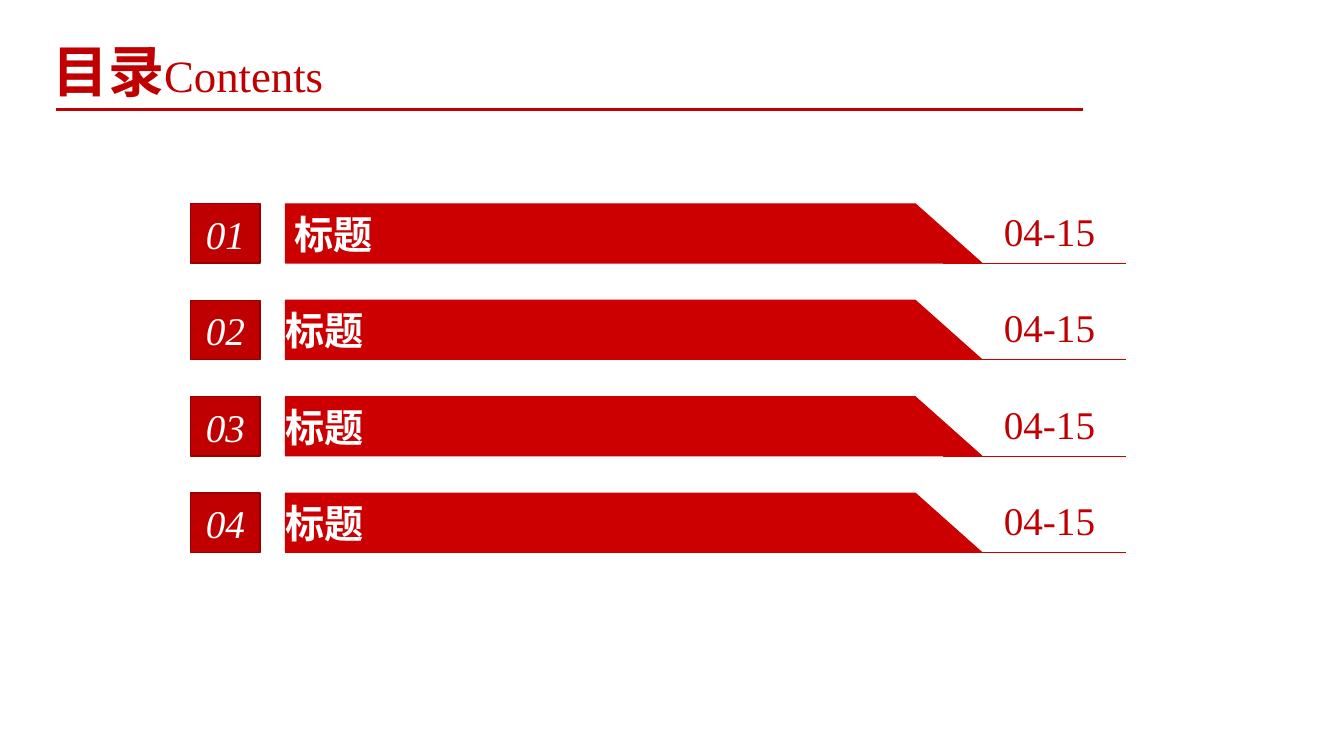
from dataclasses import dataclass

from lxml.etree import SubElement
from pptx import Presentation
from pptx.dml.color import RGBColor as RGB
from pptx.enum.shapes import MSO_CONNECTOR as CONN, MSO_SHAPE as SHAPE
from pptx.enum.text import MSO_ANCHOR as ANCHOR, PP_ALIGN as ALIGN
from pptx.oxml.ns import qn
from pptx.util import Pt


@dataclass(frozen=True)
class Theme:
    red: RGB = RGB(0xC0, 0x00, 0x00)
    bar: RGB = RGB(0xCC, 0x00, 0x00)
    edge: RGB = RGB(0x97, 0x00, 0x00)
    white: RGB = RGB(0xFF, 0xFF, 0xFF)
    latin: str = "Times New Roman"
    cjk: str = "Noto Sans CJK SC"
    title: int = 40
    subtitle: int = 32
    body: int = 28


T = Theme()
ENTRIES = [
    ("01", " 标题", "04-15"),
    ("02", "标题", "04-15"),
    ("03", "标题", "04-15"),
    ("04", "标题", "04-15"),
]
FIRST_TOP, PITCH, ROW_H = 145.6, 68.9, 42.3


def set_attrs(obj, values):
    for name, value in values.items():
        setattr(obj, name, value)


def add_run(p, text, size, color, font=T.latin, **fmt):
    r = p.add_run()
    r.text = text
    set_attrs(r.font, {"size": Pt(size), "name": font, **fmt})
    r.font.color.rgb = color
    SubElement(r.font._element, qn("a:ea")).set("typeface", T.cjk)


def text_frame(sp, align=ALIGN.LEFT, **frame):
    tf = sp.text_frame
    set_attrs(tf, {"word_wrap": True, "vertical_anchor": ANCHOR.MIDDLE, **frame})
    p = tf.paragraphs[0]
    p.alignment = align
    return p


def paint(sp, fill, line, width):
    sp.shadow.inherit = False
    sp.fill.solid()
    sp.fill.fore_color.rgb = fill
    sp.line.color.rgb = line
    sp.line.width = Pt(width)


def add_rule(shapes, x1, x2, y, color, width):
    ln = shapes.add_connector(CONN.STRAIGHT, Pt(x1), Pt(y), Pt(x2), Pt(y))
    ln.line.color.rgb = color
    ln.line.width = Pt(width)
    SubElement(ln._element.spPr, qn("a:effectLst"))


def add_number(shapes, top, text):
    sp = shapes.add_shape(SHAPE.RECTANGLE, Pt(136.1), Pt(top), Pt(49.7), Pt(ROW_H))
    paint(sp, T.red, T.edge, 1)
    add_run(text_frame(sp, ALIGN.CENTER), text, T.body, T.white, italic=True)


def add_bar(shapes, top, text):
    left, shoulder, tip, bottom = 203.8, 653.8, 701.3, top + ROW_H
    fb = shapes.build_freeform(Pt(left), Pt(top))
    corners = [(shoulder, top), (tip, bottom), (left, bottom)]
    fb.add_line_segments([(Pt(x), Pt(y)) for x, y in corners], close=True)
    sp = fb.convert_to_shape()
    paint(sp, T.bar, T.bar, 0.75)
    p = text_frame(sp, margin_left=0, margin_top=0, margin_bottom=0)
    add_run(p, text, T.body, T.white, bold=True)


def add_date(shapes, top, text):
    sp = shapes.add_textbox(Pt(709.9), Pt(top + 7.7), Pt(92.9), Pt(23))
    add_run(text_frame(sp), text, T.body, T.red)


def add_entry(slide, top, number, title, date):
    shapes = slide.shapes.add_group_shape().shapes
    add_number(shapes, top, number)
    add_bar(shapes, top, title)
    add_rule(shapes, 673.9, 804.2, top + ROW_H, T.bar, 0.5)
    add_date(shapes, top, date)


def add_heading(slide, title, subtitle):
    sp = slide.shapes.add_textbox(Pt(30.2), Pt(22.3), Pt(273.6), Pt(55.4))
    p = text_frame(sp, vertical_anchor=ANCHOR.TOP)
    add_run(p, title, T.title, T.red, T.cjk, bold=True)
    add_run(p, subtitle, T.subtitle, T.red)
    add_rule(slide.shapes, 40.3, 773.3, 78.5, T.red, 2.25)


def main():
    prs = Presentation()
    set_attrs(prs, {"slide_width": Pt(960), "slide_height": Pt(540)})
    slide = prs.slides.add_slide(prs.slide_layouts[6])
    add_heading(slide, "目录", "Contents")
    for i, entry in enumerate(ENTRIES):
        add_entry(slide, FIRST_TOP + i * PITCH, *entry)
    prs.save("out.pptx")


main()
